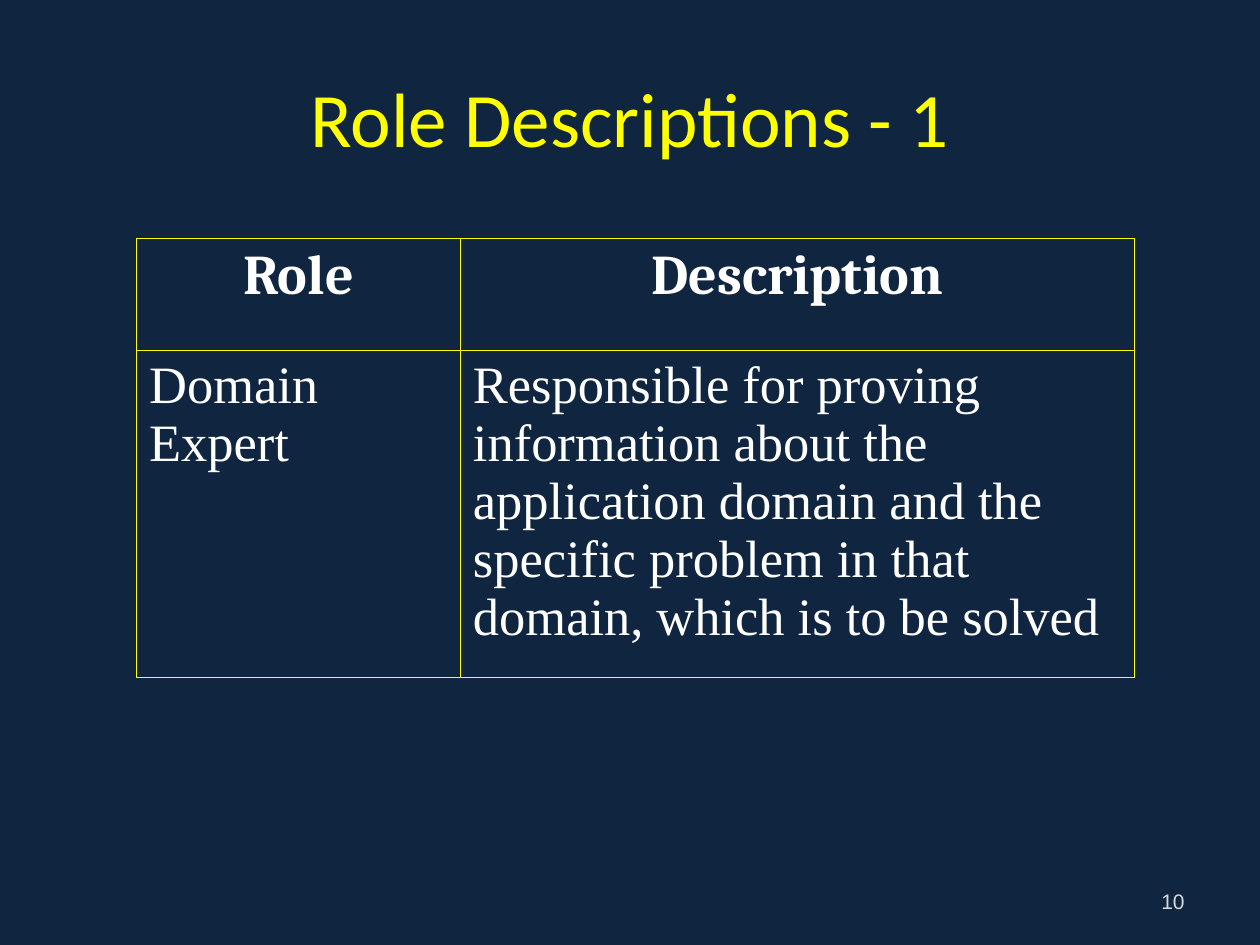
from dataclasses import dataclass
from lxml.etree import SubElement
from pptx import Presentation
from pptx.dml.color import RGBColor
from pptx.enum.text import MSO_ANCHOR, PP_ALIGN
from pptx.oxml.ns import qn
from pptx.util import Pt


@dataclass(frozen=True)
class Theme:
    back: str = "10253F"
    gold: str = "FFFF00"
    white: str = "FFFFFF"
    grey: str = "D9D9D9"
    title: float = 44
    head: float = 32
    body: float = 30
    small: float = 12
    line: float = 0.45


theme = Theme()


def write(frame, text, font, size, color, align=PP_ALIGN.LEFT, bold=False, before=0, anchor=MSO_ANCHOR.TOP):
    frame.word_wrap = True
    frame.vertical_anchor = anchor
    para = frame.paragraphs[0]
    para.alignment = align
    para.space_before = Pt(before)
    run = para.add_run()
    run.text = text
    run.font.name = font
    run.font.size = Pt(size)
    run.font.bold = bold
    run.font.color.rgb = RGBColor.from_string(color)


def border(cell):
    props = cell._tc.get_or_add_tcPr()
    for index, side in enumerate(("a:lnL", "a:lnR", "a:lnT", "a:lnB")):
        line = props.makeelement(qn(side), {"w": str(int(Pt(theme.line)))})
        fill = SubElement(line, qn("a:solidFill"))
        SubElement(fill, qn("a:srgbClr"), val=theme.gold)
        props.insert(index, line)


deck = Presentation()
deck.slide_width, deck.slide_height = Pt(720), Pt(540)
slide = deck.slides.add_slide(deck.slide_layouts[5])
slide.background.fill.solid()
slide.background.fill.fore_color.rgb = RGBColor.from_string(theme.back)

title = slide.shapes.title
title.left, title.top, title.width, title.height = Pt(36), Pt(21.6), Pt(648), Pt(90)
write(title.text_frame, "Role Descriptions - 1", "Calibri", theme.title, theme.gold,
      align=PP_ALIGN.CENTER, anchor=MSO_ANCHOR.MIDDLE)

rows = [
    ("Role", "Description"),
    ("Domain Expert", "Responsible for proving information about the application domain "
     "and the specific problem in that domain, which is to be solved"),
]
styles = [
    dict(font="Cambria", size=theme.head, align=PP_ALIGN.CENTER, bold=True, before=8),
    dict(font="Times New Roman", size=theme.body, before=7.5),
]
widths = [185.1, 385.1]
heights = [64, 187]
table = slide.shapes.add_table(2, 2, Pt(78), Pt(136), Pt(sum(widths)), Pt(sum(heights))).table
table.first_row = table.horz_banding = False
for col, width in zip(table.columns, widths):
    col.width = Pt(width)
for row, height, texts, style in zip(table.rows, heights, rows, styles):
    row.height = Pt(height)
    for cell, text in zip(row.cells, texts):
        cell.fill.background()
        border(cell)
        write(cell.text_frame, text, color=theme.white, **style)

number = slide.shapes.add_textbox(Pt(516), Pt(500.5), Pt(168), Pt(28.8))
write(number.text_frame, "10", "Arial", theme.small, theme.grey,
      align=PP_ALIGN.RIGHT, anchor=MSO_ANCHOR.MIDDLE)

deck.save("out.pptx")
